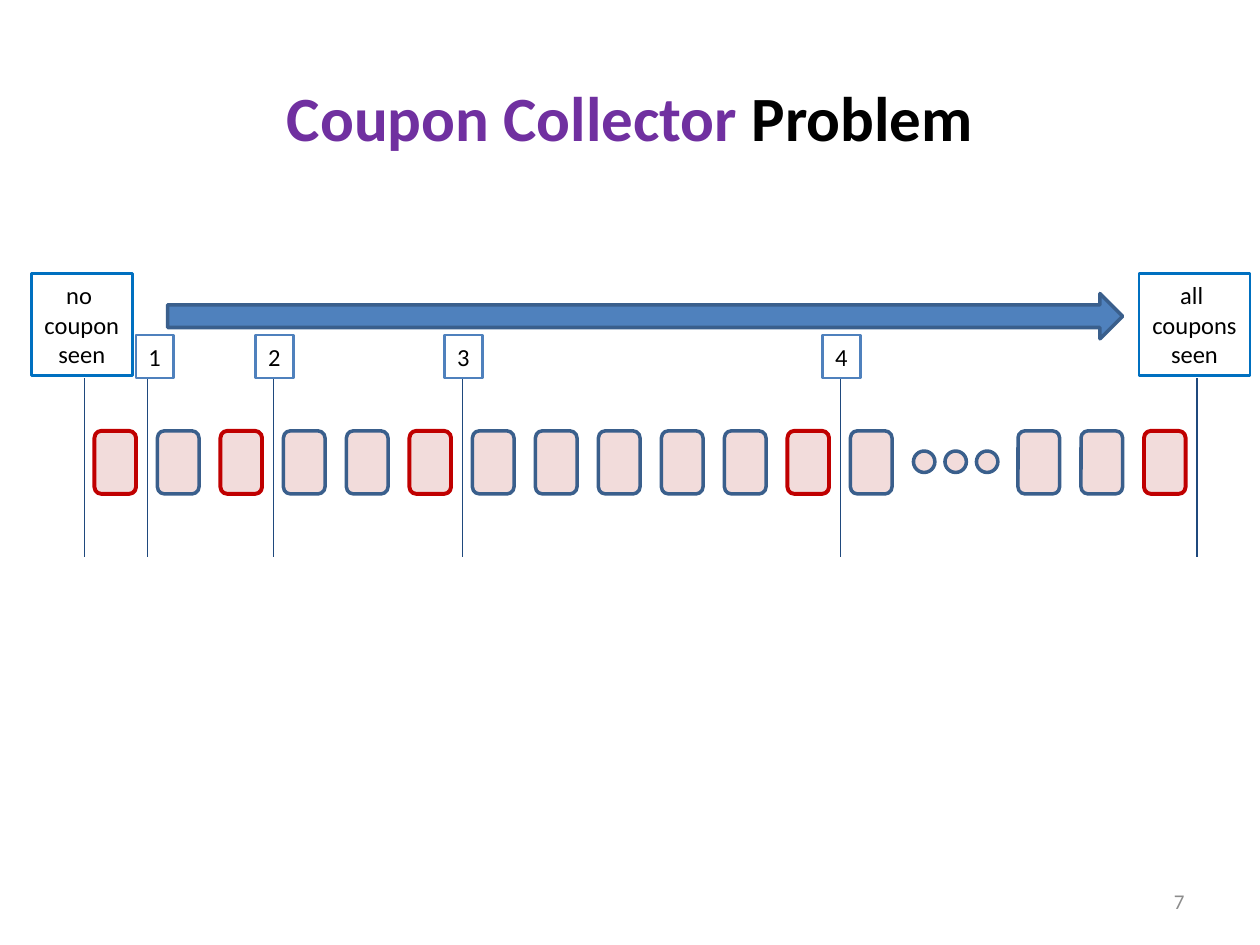
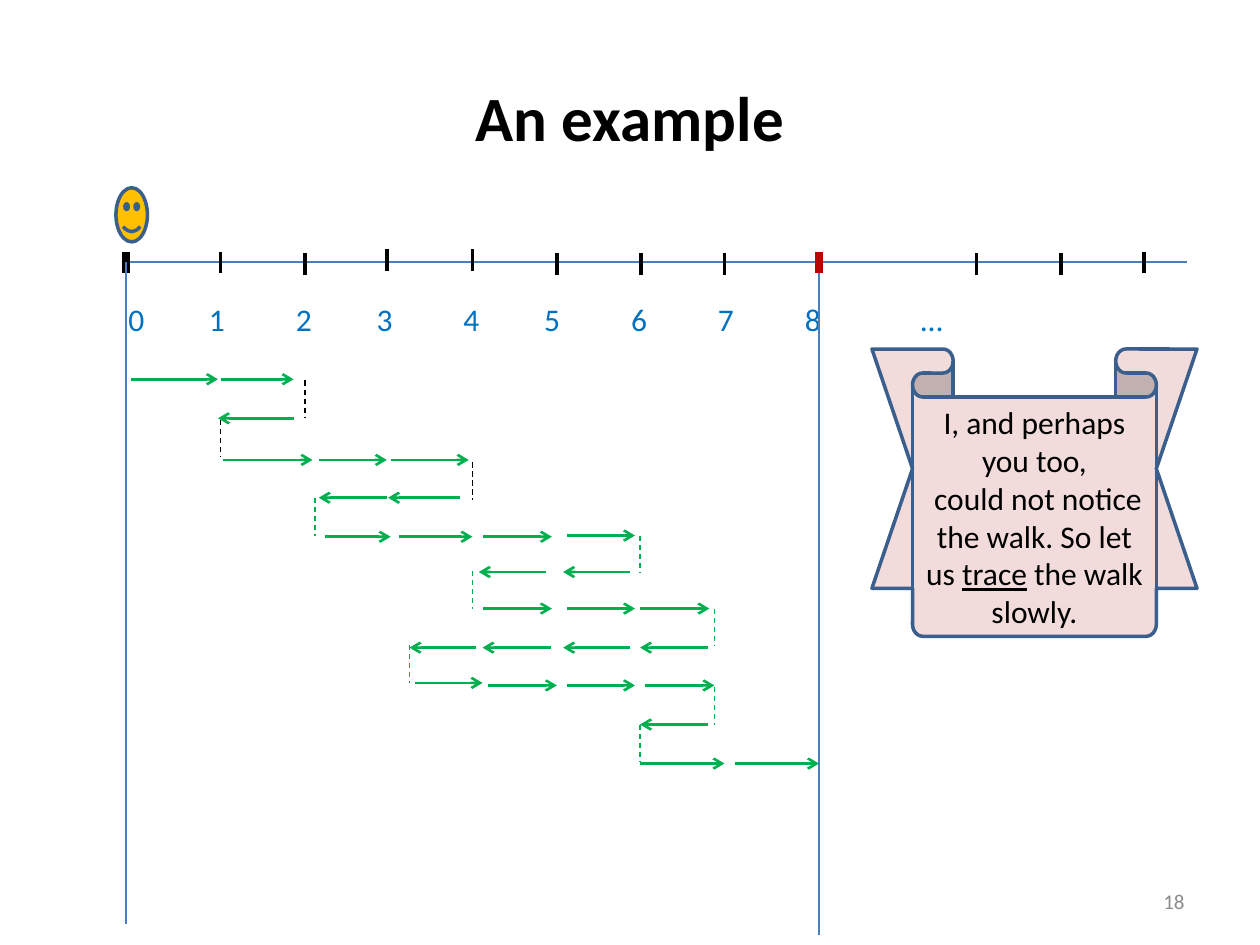
"""Build two slides on the coupon collector problem and a random walk."""
from itertools import accumulate

from lxml import etree
from pptx import Presentation
from pptx import util as u
from pptx.dml.color import RGBColor
from pptx.enum import dml, shapes, text
from pptx.oxml.ns import qn

COLORS = {
    "black": "000000", "purple": "7030A0", "grey": "8C8C8C", "pink": "F2DCDB",
    "red": "C00000", "edge": "3A5F8C", "navy": "1F497D", "sky": "0070C0",
    "blue": "4F81BD", "axis": "4B7EBC", "gold": "FFC000", "green": "00B050",
}
SHAPE = shapes.MSO_SHAPE
ALIGN = text.PP_ALIGN


class Deck:
    """Holds the presentation, the shared style and the current slide."""

    def __init__(self):
        self.prs = Presentation()
        self.prs.slide_width, self.prs.slide_height = u.Inches(10), u.Inches(7.5)
        self.s = None

    def color(self, name):
        """Return a palette colour."""
        return RGBColor.from_string(COLORS[name])

    def slide(self, title, number):
        """Start a slide with its title and number."""
        self.s = self.prs.slides.add_slide(self.prs.slide_layouts[6])
        mid = text.MSO_ANCHOR.MIDDLE
        self.text((0.5, 0.3, 9, 1.25), [title], 36, ALIGN.CENTER,
                  vertical_anchor=mid)
        self.text((7.17, 6.95, 2.33, 0.4), [[(number, {"color": "grey"})]], 12,
                  ALIGN.RIGHT, vertical_anchor=mid)

    def put_text(self, sp, paras, size, align, **frame):
        """Fill a shape with paragraphs, each a list of (text, format) runs."""
        tf = sp.text_frame
        for key, value in {"word_wrap": True, **frame}.items():
            setattr(tf, key, value)
        for i, runs in enumerate(paras):
            p = tf.add_paragraph() if i else tf.paragraphs[0]
            p.alignment = align
            for words, fmt in runs:
                r = p.add_run()
                r.text = words
                fmt = {"name": "Calibri", "size": u.Pt(size), "color": "black", **fmt}
                r.font.color.rgb = self.color(fmt.pop("color"))
                for key, value in fmt.items():
                    setattr(r.font, key, value)

    def text(self, at, paras, size, align=ALIGN.LEFT, **frame):
        """Add a text box."""
        sp = self.s.shapes.add_textbox(*map(u.Inches, at))
        self.put_text(sp, paras, size, align, **frame)
        return sp

    def shape(self, kind, at, fill=None, line="edge", width=2):
        """Add a preset shape."""
        sp = self.s.shapes.add_shape(kind, *map(u.Inches, at))
        sp.shadow.inherit = False
        if fill:
            sp.fill.solid()
            sp.fill.fore_color.rgb = self.color(fill)
        else:
            sp.fill.background()
        sp.line.color.rgb = self.color(line)
        sp.line.width = u.Pt(width)
        return sp

    def label(self, at, lines, line, align):
        """Add an outlined box that fits its text."""
        sp = self.shape(SHAPE.RECTANGLE, at, None, line, 1.5)
        self.put_text(sp, [[(words, {})] for words in lines], 14, align,
                      word_wrap=False,
                      auto_size=text.MSO_AUTO_SIZE.SHAPE_TO_FIT_TEXT)

    def line(self, start, end, color, width=0.75, dash=False, arrow=False):
        """Add a straight line or arrow."""
        c = self.s.shapes.add_connector(
            shapes.MSO_CONNECTOR.STRAIGHT, *map(u.Inches, (*start, *end)))
        c.line.color.rgb = self.color(color)
        c.line.width = u.Pt(width)
        if dash:
            c.line.dash_style = dml.MSO_LINE.DASH
        pr = c._element.spPr
        if arrow:
            etree.SubElement(pr.find(qn("a:ln")), qn("a:tailEnd"), type="arrow")
        etree.SubElement(pr, qn("a:effectLst"))


def coupons(d):
    """Draw the coupon sequence with a marker after each new coupon."""
    d.slide([("Coupon Collector ", {"color": "purple", "bold": True}),
             ("Problem", {"bold": True})], "7")
    new = {0, 2, 5, 11, 15}
    lefts = [0.75 + 0.5 * i for i in range(13)] + [8.08 + 0.5 * i for i in range(3)]
    for i, x in enumerate(lefts):
        style = ("red", 2.25) if i in new else ("edge", 2)
        d.shape(SHAPE.ROUNDED_RECTANGLE, (x, 3.42, 0.33, 0.5), "pink", *style)
    for i in range(3):
        d.shape(SHAPE.OVAL, (7.25 + 0.25 * i, 3.58, 0.17, 0.17), "pink")
    d.shape(SHAPE.RIGHT_ARROW, (1.33, 2.33, 7.58, 0.36), "blue")

    for x in (0.67, 1.17, 2.17, 3.67, 6.67, 9.5):
        d.line((x, 3), (x, 4.42), "navy")
    for x, w, lines in ((0.25, 0.8, ("no ", "coupon", "seen")),
                        (9.04, 0.88, ("all ", "coupons", "seen"))):
        d.label((x, 2.17, w, 0.81), lines, "sky", ALIGN.CENTER)
    for n, x in enumerate((1.08, 2.03, 3.53, 6.53), 1):
        d.label((x, 2.66, 0.3, 0.34), [str(n)], "blue", ALIGN.LEFT)


def number_line(d):
    """Draw the axis with its ticks, labels and boundary lines."""
    d.line((1, 2.08), (9.42, 2.08), "axis", 1.5)
    ticks = {1.75: 2, 2.42: 2.01, 3.07: 1.98, 3.75: 1.98, 4.42: 2.01, 5.09: 2.01,
             5.75: 2.01, 7.75: 2.01, 8.42: 2.01, 9.08: 2}
    for x, y in ticks.items():
        d.line((x, y), (x, y + 0.17), "black", 2.25)
    for x, color in ((1, "black"), (6.5, "red")):
        d.line((x, 2), (x, 2.17), color, 4.5)

    words = "\t".join([*map(str, range(9)), "…"])
    sp = d.text((0.92, 2.33, 7.86, 0.4), [], 18)
    pr = sp.text_frame.paragraphs[0]._p.get_or_add_pPr()
    tabs = etree.SubElement(pr, qn("a:tabLst"))
    steps = (0.64, 0.69, 0.64, 0.69, 0.64, 0.69, 0.69, 0.69, 0.92)
    for pos in accumulate(steps):
        etree.SubElement(tabs, qn("a:tab"), pos=str(u.Inches(pos)), algn="l")
    d.put_text(sp, [[(words, {"color": "sky"})]], 18, ALIGN.LEFT)

    d.line((6.5, 2.17), (6.5, 7.42), "axis")
    d.line((1, 2.08), (1, 7.33), "axis")


def walk(d):
    """Trace the walk row by row, with a dashed drop at each turn."""
    rows = (
        (3.01, ((1.04, 1.73), (1.75, 2.33))),
        (3.32, ((2.33, 1.73),)),
        (3.65, ((1.77, 2.48), (2.53, 3.07), (3.1, 3.72))),
        (3.95, ((3.65, 3.08), (3.07, 2.53))),
        (4.26, ((2.58, 3.1), (3.17, 3.75), (3.83, 4.38))),
        (4.25, ((4.5, 5.04),)),
        (4.54, ((5, 4.47), (4.33, 3.8))),
        (4.83, ((3.83, 4.38), (4.5, 5.04), (5.08, 5.63))),
        (5.14, ((5.62, 5.08), (5, 4.47), (4.37, 3.83), (3.78, 3.25))),
        (5.42, ((3.29, 3.83),)),
        (5.44, ((3.87, 4.42), (4.5, 5.04), (5.12, 5.67))),
        (5.75, ((5.62, 5.08),)),
        (6.06, ((5.08, 5.75), (5.83, 6.5))),
    )
    for y, moves in rows:
        for x1, x2 in moves:
            d.line((x1, y), (x2, y), "green", 1.5, arrow=True)
    turns = {
        "black": ((2.42, 3.02), (1.75, 3.33), (3.75, 3.67)),
        "green": ((2.5, 3.95), (5.08, 4.25), (3.75, 4.53), (5.67, 4.83),
                  (3.25, 5.12), (5.67, 5.45), (5.08, 5.75)),
    }
    for color, points in turns.items():
        for x, y in points:
            d.line((x, y), (x, y + 0.3), color, dash=True)


def example(d):
    """Build the random walk slide."""
    d.slide([("An example", {"bold": True})], "18")
    number_line(d)
    d.shape(SHAPE.SMILEY_FACE, (0.92, 1.49, 0.25, 0.43), "gold")
    walk(d)
    sp = d.shape(SHAPE.DOWN_RIBBON, (6.92, 2.77, 2.58, 2.28), "pink")
    sp.adjustments[0], sp.adjustments[1] = 0.167, 0.75
    d.put_text(sp, [[("I, and perhaps you too,", {})],
                    [(" could not notice the walk. So let us ", {}),
                     ("trace", {"underline": True}), (" the walk slowly.", {})]],
               18, ALIGN.CENTER, vertical_anchor=text.MSO_ANCHOR.MIDDLE)


def main():
    """Build and save the deck."""
    d = Deck()
    coupons(d)
    example(d)
    d.prs.save("out.pptx")


if __name__ == "__main__":
    main()
